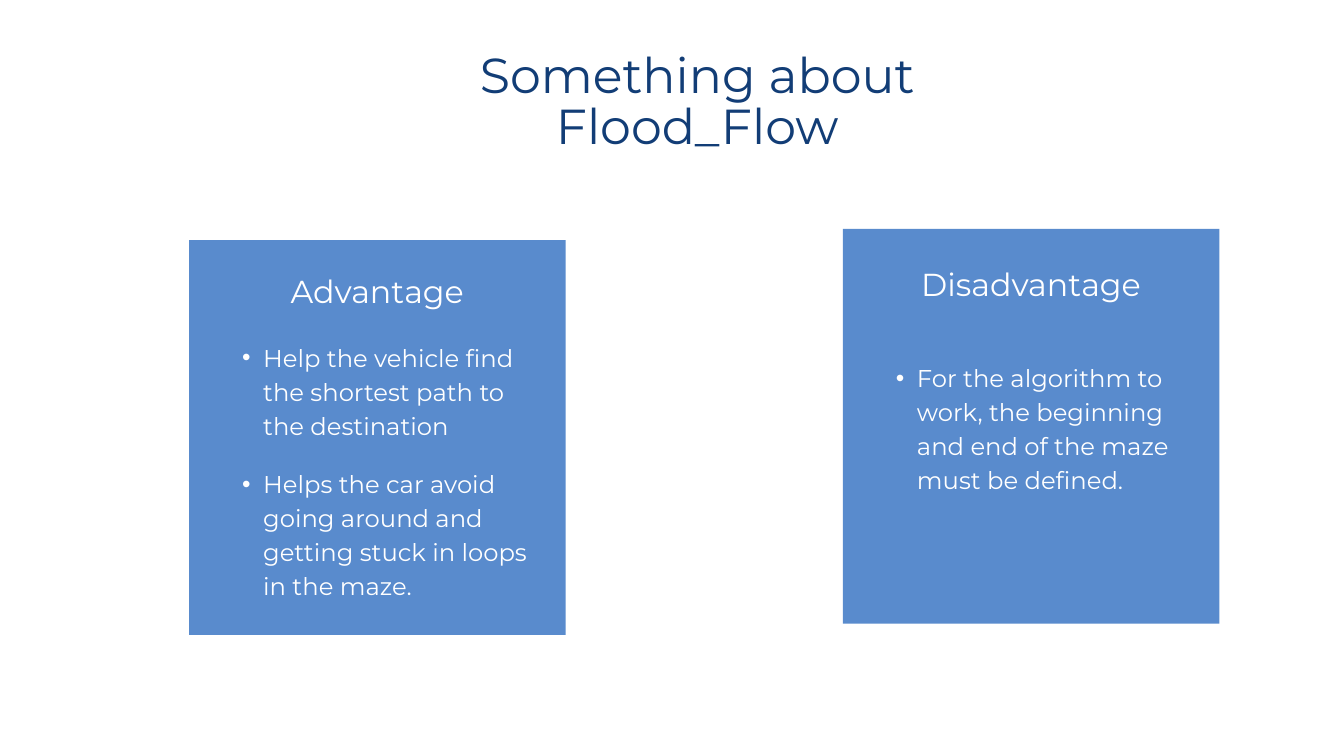
from lxml.etree import SubElement
from pptx import Presentation
from pptx.dml.color import RGBColor
from pptx.enum.shapes import MSO_SHAPE
from pptx.enum.text import MSO_ANCHOR, MSO_AUTO_SIZE, PP_ALIGN
from pptx.oxml.ns import qn
from pptx.util import Emu, Pt

NAVY = RGBColor(0x12, 0x3D, 0x76)
BLUE = RGBColor(0x59, 0x8B, 0xCD)
WHITE = RGBColor(0xFF, 0xFF, 0xFF)


def px(n):
    return Emu(n * 9525)


class Deck:
    """Holds the text style and the current slide."""

    font = "Montserrat"

    def __init__(self, prs):
        self.s = prs.slides.add_slide(prs.slide_layouts[4])

    def card(self, x, y, w, h):
        sp = self.s.shapes.add_shape(MSO_SHAPE.RECTANGLE, px(x), px(y), px(w), px(h))
        sp.shadow.inherit = False
        sp.fill.solid()
        sp.fill.fore_color.rgb = BLUE
        sp.line.fill.background()
        self.s.shapes.title.element.addprevious(sp.element)

    def frame(self, idx, x, y, w, h):
        sp = self.s.placeholders[idx]
        sp.left, sp.top, sp.width, sp.height = px(x), px(y), px(w), px(h)
        tf = sp.text_frame
        tf.margin_left = tf.margin_top = tf.margin_right = tf.margin_bottom = 0
        tf.word_wrap = True
        tf.auto_size = MSO_AUTO_SIZE.SHAPE_TO_FIT_TEXT
        tf.vertical_anchor = MSO_ANCHOR.TOP
        return tf

    def add_text(self, p, text, size, leading, color):
        p.line_spacing = Pt(leading)
        p.space_before = Pt(0)
        r = p.add_run()
        r.text = text
        r.font.name = self.font
        r.font.size = Pt(size)
        r.font.bold = False
        r.font.color.rgb = color

    def heading(self, idx, box, text, size, leading, color):
        p = self.frame(idx, *box).paragraphs[0]
        p.alignment = PP_ALIGN.CENTER
        self.add_text(p, text, size, leading, color)

    def bullets(self, idx, box, items):
        tf = self.frame(idx, *box)
        for i, text in enumerate(items):
            p = tf.add_paragraph() if i else tf.paragraphs[0]
            p.level = 1
            p.alignment = PP_ALIGN.LEFT
            pPr = p._p.get_or_add_pPr()
            pPr.set("marL", str(px(59)))
            pPr.set("indent", str(px(-30)))
            SubElement(pPr, qn("a:buFont")).set("typeface", "Arial")
            SubElement(pPr, qn("a:buChar")).set("char", "•")
            self.add_text(p, text, 26, 36.4, WHITE)
            if i:
                p.space_before = Pt(26)


def main():
    prs = Presentation()
    prs.slide_width, prs.slide_height = px(1920), px(1080)
    deck = Deck(prs)
    deck.heading(0, (539, 75, 914, 149), "Something about Flood_Flow", 52.6, 54.8, NAVY)
    columns = [
        ("Advantage", 270, 343, 396, 483, 370, [
            "Help the vehicle find the shortest path to the destination",
            "Helps the car avoid going around and getting stuck in loops in the maze.",
        ]),
        ("Disadvantage", 1204, 327, 385, 512, 190, [
            "For the algorithm to work, the beginning and end of the maze must be defined.",
        ]),
    ]
    for i, (name, x, card_y, head_y, list_y, list_h, items) in enumerate(columns):
        deck.card(x, card_y, 538, 564)
        deck.heading(2 * i + 1, (x + 47, head_y, 444, 49), name, 34, 35.4, WHITE)
        deck.bullets(2 * i + 2, (x + 47, list_y, 444, list_h), items)
    prs.save("out.pptx")


if __name__ == "__main__":
    main()
